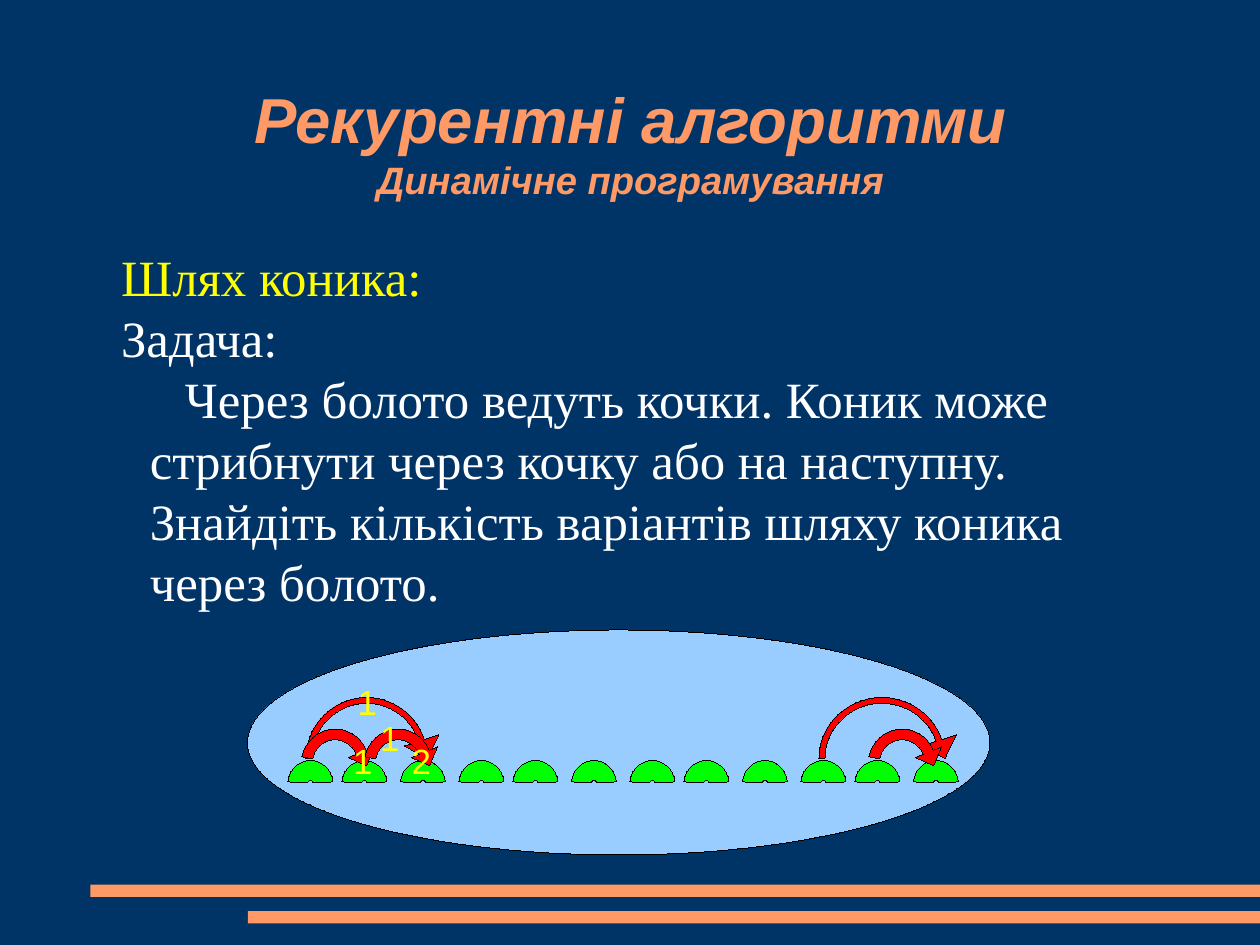
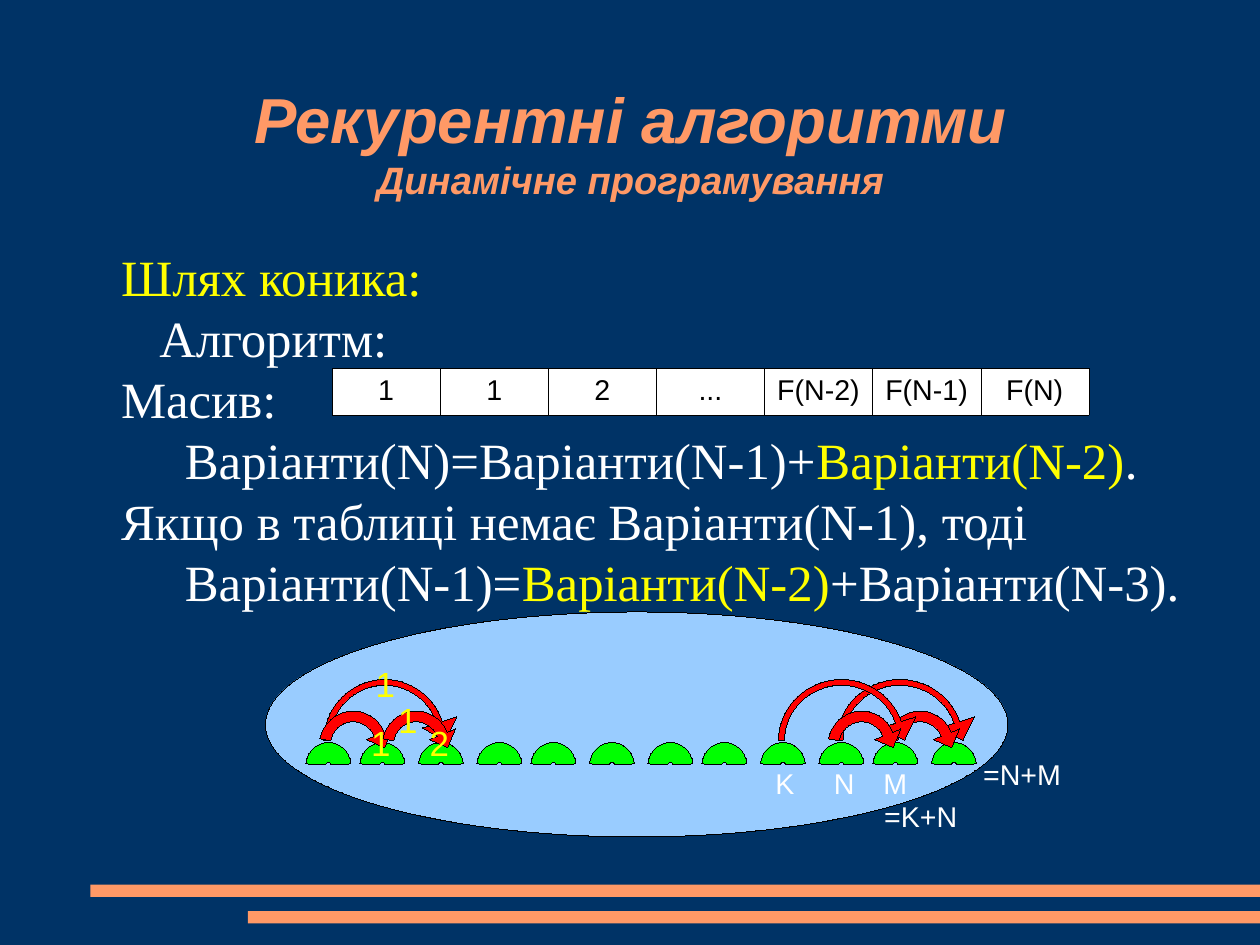
from math import cos, radians, sin, tan

from lxml.etree import SubElement
from pptx import Presentation
from pptx.dml.color import RGBColor
from pptx.enum.shapes import MSO_SHAPE
from pptx.enum.text import MSO_ANCHOR, PP_ALIGN
from pptx.oxml.ns import qn
from pptx.util import Cm, Pt

NAVY = RGBColor(0x00, 0x33, 0x66)
ORANGE = RGBColor(0xFF, 0x99, 0x66)
YELLOW = RGBColor(0xFF, 0xFF, 0x00)
WHITE = RGBColor(0xFF, 0xFF, 0xFF)
BLACK = RGBColor(0x00, 0x00, 0x00)
WATER = RGBColor(0x99, 0xCC, 0xFF)
GREEN = RGBColor(0x00, 0xFF, 0x00)
RED = RGBColor(0xFF, 0x00, 0x00)

HEADING = {"name": "Arial", "size": Pt(40), "bold": True, "italic": True}
SUBHEADING = {**HEADING, "size": Pt(24)}
BODY = {"name": "Times New Roman", "size": Pt(32)}
COUNT = {"name": "Arial", "size": Pt(22)}
CAPTION = {"name": "Arial", "size": Pt(18)}
NO_MARGINS = dict.fromkeys(("margin_left", "margin_right", "margin_top", "margin_bottom"), 0)
CELL_MARGINS = {"margin_left": Cm(0.1), "margin_right": Cm(0.1),
                "margin_top": Cm(0.15), "margin_bottom": Cm(0.13)}

HANGING, SHORT_INDENT, LONG_INDENT = -0.64, 0.21, 0.78
LONG_JUMP = {"outer": 1.35, "inner": 1.22, "start": 180, "end": 18,
             "wings": (1.68, 0.88), "tip": (1.35, 0)}
SHORT_JUMP = {"outer": 0.75, "inner": 0.51, "start": 170, "end": 22,
              "wings": (0.94, 0.31), "tip": (0.7, -5)}

TASK = [
    (HANGING, [("Шлях коника:", YELLOW)]),
    (HANGING, [("Задача:", WHITE)]),
    (LONG_INDENT, [("Через болото ведуть кочки. Коник може стрибнути через кочку або на "
                    "наступну. Знайдіть кількість варіантів шляху коника через болото.", WHITE)]),
]
ALGORITHM = [
    (HANGING, [("Шлях коника:", YELLOW)]),
    (SHORT_INDENT, [("Алгоритм:", WHITE)]),
    (HANGING, [("Масив:", WHITE)]),
    (LONG_INDENT, [("Варіанти(N)=Варіанти(N-1)+", WHITE), ("Варіанти(N-2)", YELLOW),
                   (".", WHITE)]),
    (HANGING, [("Якщо в таблиці немає Варіанти(N-1), тоді", WHITE)]),
    (LONG_INDENT, [("Варіанти(N-1)=", WHITE), ("Варіанти(N-2)", YELLOW),
                   ("+Варіанти(N-3).", WHITE)]),
]
ARRAY = ["1", "1", "2", "...", "F(N-2)", "F(N-1)", "F(N)"]
COUNTS = [("1", 2.1, 2.3, 0.94), ("1", 2.7, 1.8, 0.94),
          ("1", 2.2, 1.0, 0.94), ("2", 3.4, 2.3, 0.94)]
SUMS = [("K", 11.08, 3.3, 0.91), ("N", 12.38, 3.3, 0.97), ("M", 13.48, 3.3, 1.04),
        ("=N+M", 15.7, 3.1, 2.24), ("=K+N", 13.5, 4.02, 2.13)]


def apply(target, values):
    """Set every attribute named in values on the target."""
    for name, value in values.items():
        setattr(target, name, value)


def add_run(paragraph, text, color, font_values):
    """Append one formatted run to a paragraph."""
    run = paragraph.add_run()
    run.text = text
    apply(run.font, font_values)
    run.font.color.rgb = color


def add_frame(slide, left, top, width, height, values):
    """Add a text box and return its text frame."""
    frame = slide.shapes.add_textbox(Cm(left), Cm(top), Cm(width), Cm(height)).text_frame
    apply(frame, values)
    return frame


def paint(shape, color, outlined=True):
    """Give a shape a flat fill and a black hairline or no outline."""
    shape.shadow.inherit = False
    shape.fill.solid()
    shape.fill.fore_color.rgb = color
    if outlined:
        shape.line.color.rgb = BLACK
        shape.line.width = Pt(0.01)
    else:
        shape.line.fill.background()


def add_preset(slide, kind, left, top, width, height, color, outlined=True):
    """Add a painted preset shape."""
    shape = slide.shapes.add_shape(kind, Cm(left), Cm(top), Cm(width), Cm(height))
    paint(shape, color, outlined)
    return shape


def add_title(slide, left, top, width, height):
    """Place the shared two-line title in its box."""
    frame = add_frame(slide, left, top, width, height,
                      {**NO_MARGINS, "word_wrap": True, "vertical_anchor": MSO_ANCHOR.MIDDLE})
    paragraph = frame.paragraphs[0]
    paragraph.alignment = PP_ALIGN.CENTER
    add_run(paragraph, "Рекурентні алгоритми", ORANGE, HEADING)
    paragraph.add_line_break()
    add_run(paragraph, "Динамічне програмування", ORANGE, SUBHEADING)


def add_body(slide, left, top, width, height, lines):
    """Place the body paragraphs with their first-line indents."""
    frame = add_frame(slide, left, top, width, height, {**NO_MARGINS, "word_wrap": True})
    for index, (indent, parts) in enumerate(lines):
        paragraph = frame.add_paragraph() if index else frame.paragraphs[0]
        properties = paragraph._p.get_or_add_pPr()
        properties.set("marL", str(Cm(1.27)))
        properties.set("indent", str(Cm(indent)))
        for text, color in parts:
            add_run(paragraph, text, color, BODY)


def arc_curves(radius, start, end):
    """Return two cubic curves along an arc, as polar points."""
    step = (end - start) / 2
    handle = 4 / 3 * tan(radians(step / 4))
    reach, turn = radius * (1 + handle ** 2) ** 0.5, step / abs(step)
    swing = abs(step) and turn * abs(_degrees(handle))
    return [("a:cubicBezTo", [(reach, start + step * i + swing),
                              (reach, start + step * (i + 1) - swing),
                              (radius, start + step * (i + 1))]) for i in range(2)]


def _degrees(slope):
    """Return the angle in degrees of a small slope."""
    return (slope - slope ** 3 / 3 + slope ** 5 / 5) / radians(1)


def add_jump(slide, left, top, width, style):
    """Draw a curved arrow around the centre of its box."""
    outer, inner = style["outer"], style["inner"]
    start, end = style["start"], style["end"]
    far_wing, near_wing = style["wings"]
    height, stretch = 2 * outer, width / (2 * outer)
    builder = slide.shapes.build_freeform(Cm(left), Cm(top))
    builder.add_line_segments([(Cm(left + width), Cm(top)),
                               (Cm(left + width), Cm(top + height))])
    jump = builder.convert_to_shape()
    outline = next(jump._element.iter(qn("a:path")))
    for segment in list(outline):
        outline.remove(segment)
    head = [(far_wing, end), style["tip"], (near_wing, end), (inner, end)]
    segments = [("a:moveTo", [(outer, start)]), *arc_curves(outer, start, end),
                *[("a:lnTo", [corner]) for corner in head],
                *arc_curves(inner, end, start), ("a:close", [])]
    for tag, points in segments:
        segment = SubElement(outline, qn(tag))
        for radius, angle in points:
            x = Cm(width / 2 + stretch * radius * cos(radians(angle)))
            y = Cm(outer - radius * sin(radians(angle)))
            SubElement(segment, qn("a:pt"), x=str(x), y=str(y))
    paint(jump, RED)


def add_labels(slide, left, top, labels, color, font_values):
    """Place short labels at offsets from the corner of the marsh."""
    for text, x, y, width in labels:
        frame = add_frame(slide, left + x, top + y, width, 1, {"word_wrap": False})
        add_run(frame.paragraphs[0], text, color, font_values)


def add_marsh(slide, left, top, width, height, final_jumps):
    """Draw the marsh, its hummocks, the jumps and the path counts."""
    add_preset(slide, MSO_SHAPE.OVAL, left, top, width, height, WATER)
    for index in range(12):
        x = left + 0.9 + 3.8 * (index // 3) + (0, 1.2, 2.5)[index % 3]
        hummock = add_preset(slide, MSO_SHAPE.BLOCK_ARC, x, top + 2.9, 1, 1, GREEN)
        for position, value in enumerate((109.62, 214.38, 0.44)):
            hummock.adjustments[position] = value
    for x in final_jumps:
        add_jump(slide, left + x, top + 1.5, 2.8, LONG_JUMP)
        add_jump(slide, left + x + 1.1, top + 2.2, 1.5, SHORT_JUMP)
    add_jump(slide, left + 1.3, top + 1.5, 2.7, LONG_JUMP)
    for x in (1.2, 2.6):
        add_jump(slide, left + x, top + 2.2, 1.5, SHORT_JUMP)
    add_labels(slide, left, top, COUNTS, YELLOW, COUNT)


def add_array(slide, left, top, width, height):
    """Place the one-row table of array values."""
    table = slide.shapes.add_table(1, len(ARRAY), Cm(left), Cm(top), Cm(width), Cm(height)).table
    apply(table, {"first_row": False, "horz_banding": False})
    for cell, text in zip(table.iter_cells(), ARRAY):
        apply(cell, CELL_MARGINS)
        for side in ("a:lnL", "a:lnR", "a:lnT", "a:lnB"):
            border = SubElement(cell._tc.get_or_add_tcPr(), qn(side), w=str(Pt(0.06)))
            SubElement(SubElement(border, qn("a:solidFill")), qn("a:srgbClr"), val=str(BLACK))
        cell.fill.solid()
        cell.fill.fore_color.rgb = WHITE
        paragraph = cell.text_frame.paragraphs[0]
        paragraph.alignment = PP_ALIGN.CENTER
        add_run(paragraph, text, BLACK, CAPTION)


def add_topic_slide(deck, lines):
    """Add a slide with the shared bands, the title and its body."""
    slide = deck.slides.add_slide(deck.slide_layouts[6])
    for left, top in ((2.01, 19.66), (5.51, 20.25)):
        add_preset(slide, MSO_SHAPE.RECTANGLE, left, top, 28 - left, 0.27, ORANGE, False)
    add_body(slide, 2.06, 5.46, 24.36, 13.72, lines)
    add_title(slide, 2.06, 0.77, 23.9, 4.72)
    return slide


def main():
    """Build and save the deck."""
    deck = Presentation()
    apply(deck, {"slide_width": Cm(28), "slide_height": Cm(21)})
    backdrop = deck.slide_master.background.fill
    backdrop.solid()
    backdrop.fore_color.rgb = NAVY

    task = add_topic_slide(deck, TASK)
    add_marsh(task, 5.5, 14, 16.5, 5, [12.7])

    algorithm = add_topic_slide(deck, ALGORITHM)
    add_marsh(algorithm, 5.9, 13.6, 16.5, 5, [12.7, 11.4])
    add_labels(algorithm, 5.9, 13.6, SUMS, WHITE, CAPTION)
    add_array(algorithm, 7.38, 8.18, 16.82, 1)

    deck.save("out.pptx")


if __name__ == "__main__":
    main()
